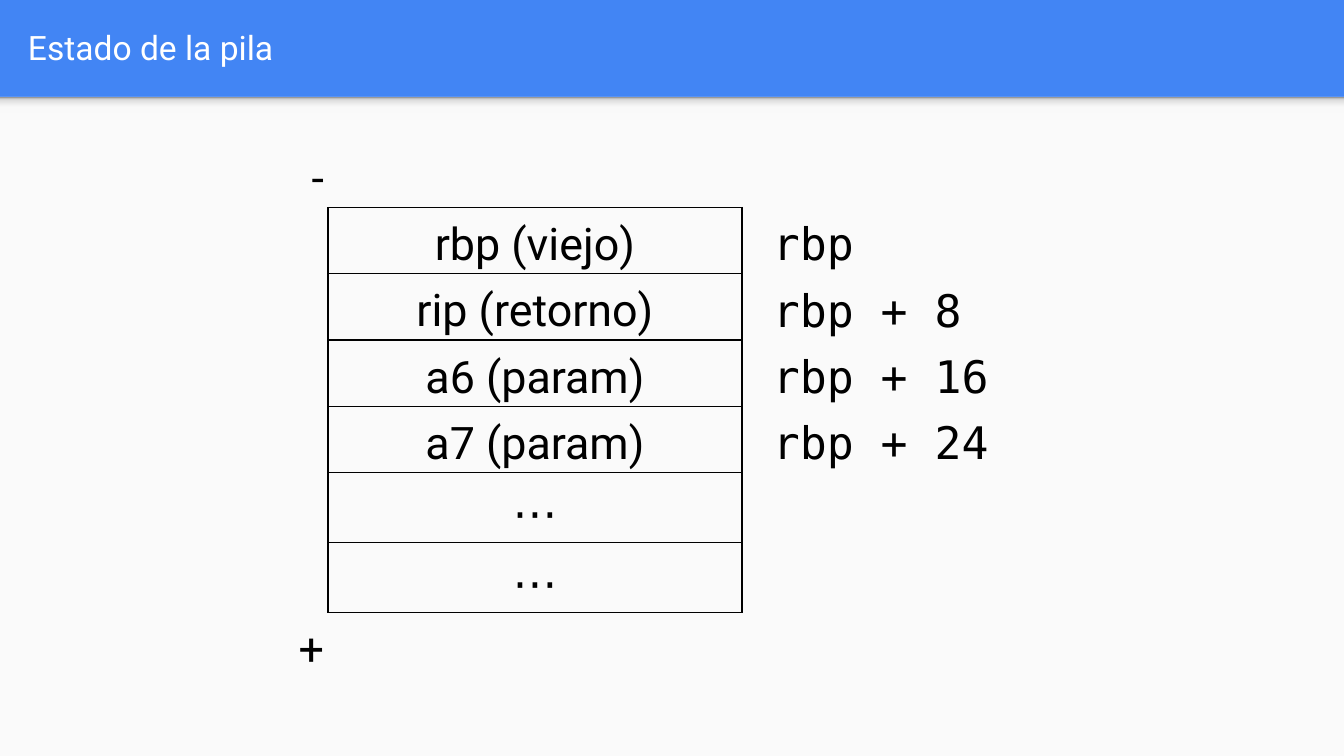
from lxml.etree import SubElement
from pptx import Presentation
from pptx.dml.color import RGBColor
from pptx.enum.shapes import MSO_SHAPE
from pptx.enum.text import MSO_ANCHOR, PP_ALIGN
from pptx.oxml import parse_xml
from pptx.oxml.ns import nsdecls, qn
from pptx.util import Inches, Pt

BLUE = RGBColor(0x42, 0x85, 0xF4)
PAPER = RGBColor(0xFA, 0xFA, 0xFA)
WHITE = RGBColor(0xFF, 0xFF, 0xFF)
BLACK = RGBColor(0x00, 0x00, 0x00)
SHADE_STOPS = [
    (0, RGBColor(0xF9, 0xF9, 0xF9)),
    (36, RGBColor(0xF9, 0xF9, 0xF9)),
    (80, RGBColor(0xDE, 0xDE, 0xDE)),
    (100, RGBColor(0x99, 0x99, 0x99)),
]
SANS, MONO = "Roboto", "DejaVu Sans Mono"
WIDTH, HEADER = 10, 0.72
HEIGHT = WIDTH * 9 / 16
COLUMN_WIDTHS = [0.35, 3.08, 2.26]
ROW_HEIGHTS = [0.45] * 5 + [0.52] * 2 + [0.45]
COLUMN_ALIGNMENTS = [PP_ALIGN.RIGHT, PP_ALIGN.CENTER, PP_ALIGN.LEFT]
STACK_ROWS = [
    ("-", "", ""),
    ("", "rbp (viejo)", " rbp"),
    ("", "rip (retorno)", " rbp + 8"),
    ("", "a6 (param)", " rbp + 16"),
    ("", "a7 (param)", " rbp + 24"),
    ("", "⋯", ""),
    ("", "⋯", ""),
    ("+", "", ""),
]


def style_paragraph(paragraph, font_name, size, color):
    """Set the font of a whole paragraph."""
    paragraph.font.name = font_name
    paragraph.font.size = Pt(size)
    paragraph.font.color.rgb = color


def add_band(slide, top, height):
    """Add a full-width borderless band in the paper colour."""
    band = slide.shapes.add_shape(
        MSO_SHAPE.RECTANGLE, 0, Inches(top), Inches(WIDTH), Inches(height))
    band.shadow.inherit = False
    band.line.fill.background()
    band.fill.solid()
    band.fill.fore_color.rgb = PAPER
    return band


def shade_upwards(band):
    """Replace the fill of a band by a gradient that darkens upwards."""
    stops = "".join(
        f'<a:gs pos="{share * 1000}"><a:srgbClr val="{color}"/></a:gs>'
        for share, color in SHADE_STOPS)
    gradient = parse_xml(
        f'<a:gradFill {nsdecls("a")}><a:gsLst>{stops}</a:gsLst>'
        '<a:lin ang="16200000" scaled="0"/></a:gradFill>')
    properties = band.fill._xPr
    properties.replace(properties.find(qn("a:solidFill")), gradient)


def add_title(slide, text):
    """Add the title in the header."""
    title = slide.shapes.add_textbox(
        Inches(0.11), Inches(0.02), Inches(9.65), Inches(0.66))
    frame = title.text_frame
    frame.word_wrap = True
    frame.vertical_anchor = MSO_ANCHOR.MIDDLE
    frame.text = text
    style_paragraph(frame.paragraphs[0], SANS, 18, WHITE)


def is_stack(row, column):
    """Tell whether a grid position is a slot of the stack."""
    return column == 1 and 1 <= row <= len(STACK_ROWS) - 2


def set_borders(cell, row, column):
    """Draw the sides that touch a stack slot and clear the others."""
    neighbours = {
        "a:lnL": (row, column - 1), "a:lnR": (row, column + 1),
        "a:lnT": (row - 1, column), "a:lnB": (row + 1, column),
    }
    properties = cell._tc.get_or_add_tcPr()
    for tag, neighbour in neighbours.items():
        side = SubElement(properties, qn(tag), w=str(Pt(0.75)))
        if is_stack(row, column) or is_stack(*neighbour):
            fill = SubElement(side, qn("a:solidFill"))
            SubElement(fill, qn("a:srgbClr"), val=str(BLACK))
        else:
            SubElement(side, qn("a:noFill"))


def fill_cell(cell, text, row, column):
    """Write and format one cell of the stack table."""
    set_borders(cell, row, column)
    cell.fill.background()
    cell.vertical_anchor = MSO_ANCHOR.BOTTOM
    cell.margin_left = cell.margin_right = Inches(0.03)
    cell.margin_top = cell.margin_bottom = Pt(1.2)
    cell.text = text
    paragraph = cell.text_frame.paragraphs[0]
    paragraph.alignment = COLUMN_ALIGNMENTS[column]
    paragraph.line_spacing = 1.15
    style_paragraph(paragraph, MONO if column == 2 else SANS, 24, BLACK)


def add_stack_table(slide):
    """Add the stack slots with their direction signs and addresses."""
    table = slide.shapes.add_table(
        len(ROW_HEIGHTS), len(COLUMN_WIDTHS), Inches(2.09), Inches(1.05),
        Inches(sum(COLUMN_WIDTHS)), Inches(sum(ROW_HEIGHTS))).table
    table.first_row = table.horz_banding = False
    for column, width in zip(table.columns, COLUMN_WIDTHS):
        column.width = Inches(width)
    for row, height in zip(table.rows, ROW_HEIGHTS):
        row.height = Inches(height)
    for row, texts in enumerate(STACK_ROWS):
        for column, text in enumerate(texts):
            fill_cell(table.cell(row, column), text, row, column)


def main():
    """Build and save the slide."""
    presentation = Presentation()
    presentation.slide_width = Inches(WIDTH)
    presentation.slide_height = Inches(HEIGHT)
    slide = presentation.slides.add_slide(presentation.slide_layouts[6])
    slide.background.fill.solid()
    slide.background.fill.fore_color.rgb = BLUE
    add_band(slide, HEADER, HEIGHT - HEADER)
    shade_upwards(add_band(slide, HEADER, 0.12))
    add_title(slide, "Estado de la pila")
    add_stack_table(slide)
    presentation.save("out.pptx")


if __name__ == "__main__":
    main()
